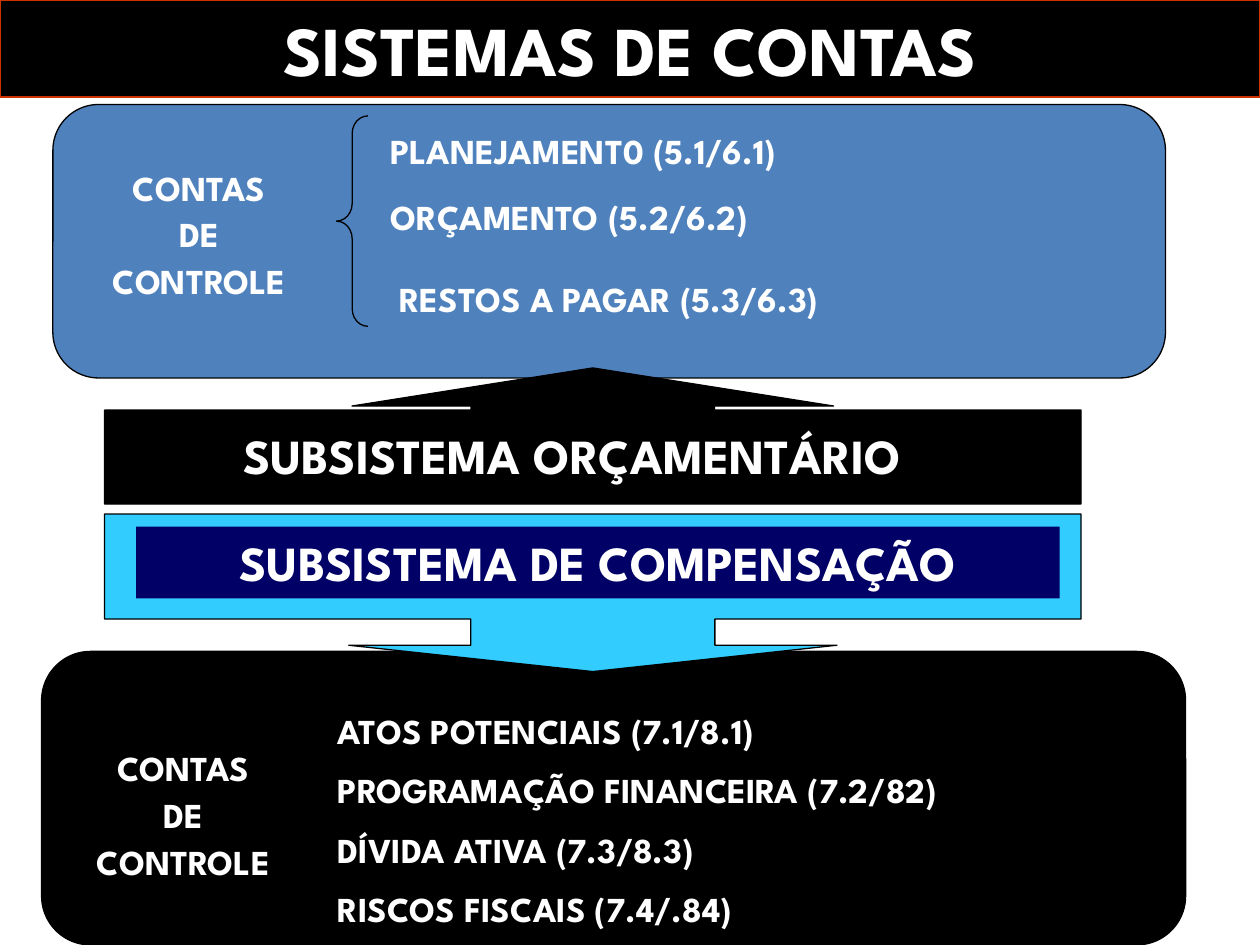
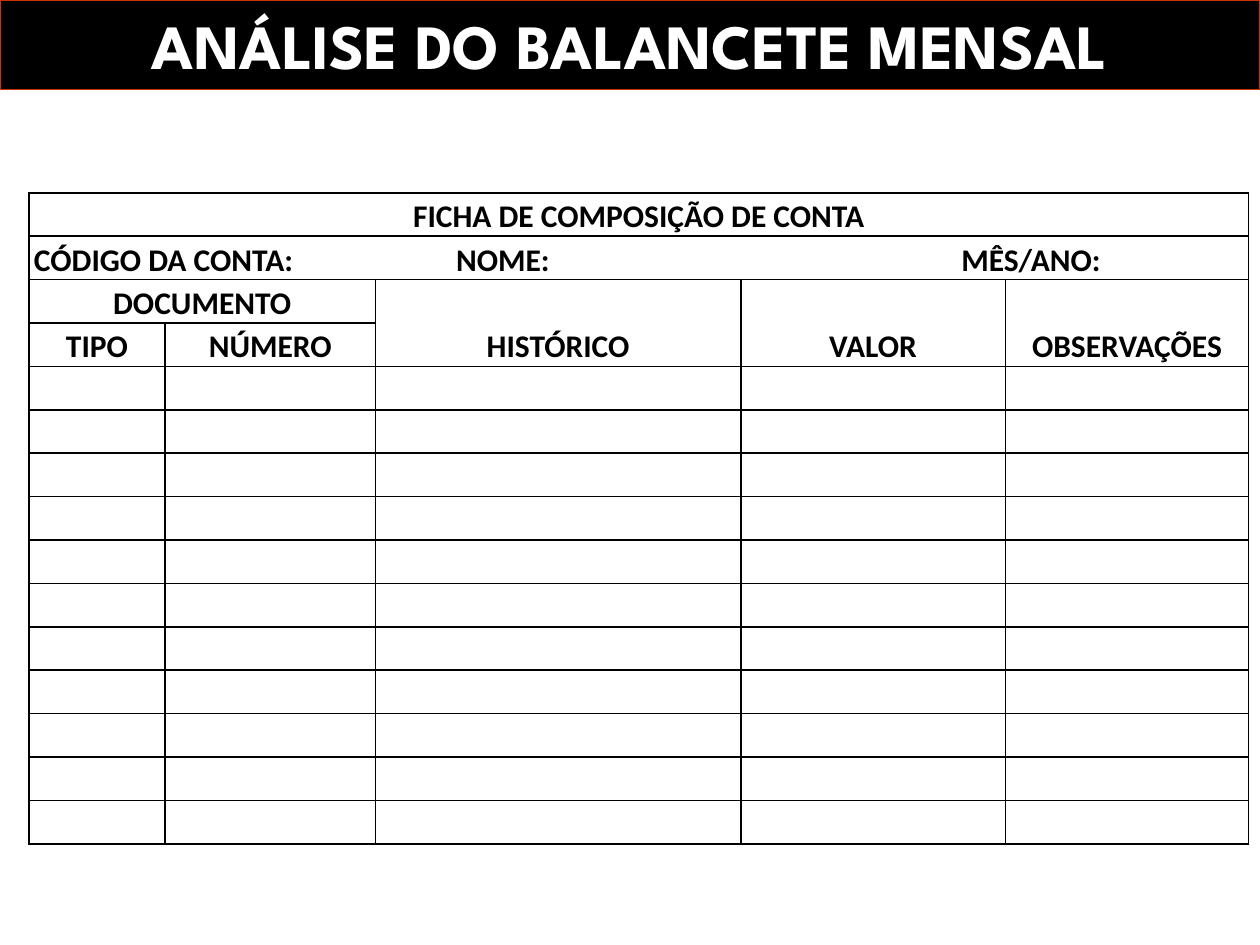
from lxml import etree
from pptx import Presentation
from pptx.dml.color import RGBColor
from pptx.enum.shapes import MSO_SHAPE
from pptx.enum.text import MSO_ANCHOR, MSO_AUTO_SIZE, PP_ALIGN
from pptx.oxml.ns import qn
from pptx.util import Inches, Pt

RECT, ROUNDED = MSO_SHAPE.RECTANGLE, MSO_SHAPE.ROUNDED_RECTANGLE
UP_CALLOUT, DOWN_CALLOUT = MSO_SHAPE.UP_ARROW_CALLOUT, MSO_SHAPE.DOWN_ARROW_CALLOUT
BRACE = MSO_SHAPE.LEFT_BRACE
LEFT, CENTER = PP_ALIGN.LEFT, PP_ALIGN.CENTER
TOP, BOTTOM = MSO_ANCHOR.TOP, MSO_ANCHOR.BOTTOM
NO_AUTOFIT = MSO_AUTO_SIZE.NONE
CONTENT_LAYOUT, TITLE_LAYOUT = 1, 5

DISPLAY, PLAIN = "League Spartan", "Calibri"
BLACK, WHITE, BAND_EDGE = "000000", "FFFFFF", "CC3300"
BLUE, CYAN, NAVY = "4F81BD", "33CCFF", "000066"

# kind, (left, top, width, height), fill, line, adjustments, text
SYSTEM_SHAPES = [
    (ROUNDED, (0.33, 5.17, 9.08, 2.33), BLACK, BLACK, [0.167], ""),
    (ROUNDED, (0.42, 0.83, 8.83, 2.17), BLUE, BLACK, [0.167], ""),
    (UP_CALLOUT, (0.83, 2.92, 7.75, 1.08), BLACK, BLACK, [1.79, 1.77, 0.28, 0.69], ""),
    (RECT, (1.25, 3.33, 6.58, 0.57), BLACK, None, [], "SUBSISTEMA ORÇAMENTÁRIO"),
    (DOWN_CALLOUT, (0.83, 4.08, 7.75, 1.25), CYAN, BLACK, [1.55, 1.55, 0.167, 0.667], ""),
    (RECT, (1.08, 4.18, 7.33, 0.57), NAVY, None, [], "SUBSISTEMA DE COMPENSAÇÃO"),
    (BRACE, (2.67, 0.92, 0.25, 1.67), None, BLACK, [0.556, 0.5], ""),
]
CONTROL_LABEL = ["CONTAS", "DE", "CONTROLE"]
CONTROL_LABEL_PLACES = [(0.58, 1.36, 2, 1.07), (0.54, 5.97, 1.83, 1.07)]
BUDGET_ACCOUNTS = [
    ("PLANEJAMENT0 (5.1/6.1)", (3, 0.98, 6.02, 0.44)),
    ("ORÇAMENTO (5.2/6.2)", (3, 1.5, 3.73, 0.44)),
    ("RESTOS A PAGAR (5.3/6.3)", (3.07, 2.15, 5.15, 0.44)),
]
COMPENSATION_ACCOUNTS = [
    "ATOS POTENCIAIS (7.1/8.1)",
    "PROGRAMAÇÃO FINANCEIRA (7.2/82)",
    "DÍVIDA ATIVA (7.3/8.3)",
    "RISCOS FISCAIS (7.4/.84)",
]

FORM_PLACE = (0.23, 1.53, 9.69, 5.17)
FORM_COLUMNS = [1.08, 1.67, 2.9, 2.1, 1.93]
FORM_ROWS = 15
# row, column, rows spanned, columns spanned, text
FORM_HEADINGS = [
    (0, 0, 1, 5, "FICHA DE COMPOSIÇÃO DE CONTA"),
    (1, 0, 1, 5, "CÓDIGO DA CONTA:\tNOME:\tMÊS/ANO:"),
    (2, 0, 1, 2, "DOCUMENTO"),
    (2, 2, 2, 1, "HISTÓRICO"),
    (2, 3, 2, 1, "VALOR"),
    (2, 4, 2, 1, "OBSERVAÇÕES"),
    (3, 0, 1, 1, "TIPO"),
    (3, 1, 1, 1, "NÚMERO"),
]
ACCOUNT_TABS = [3.35, 7.36]


def color(code):
    return RGBColor.from_string(code)


def inches(place):
    return [Inches(length) for length in place]


def paint(shape, fill, line):
    if fill:
        shape.fill.solid()
        shape.fill.fore_color.rgb = color(fill)
    else:
        shape.fill.background()
    if line:
        shape.line.color.rgb = color(line)
        shape.line.width = Pt(0.75)
    else:
        shape.line.fill.background()


def write(frame, lines, size, align=LEFT, ink=WHITE, font=DISPLAY, gap=10, spacing=1.0):
    """Fill a text frame with bold paragraphs, gap points apart."""
    frame.word_wrap = True
    for index, text in enumerate(lines):
        para = frame.add_paragraph() if index else frame.paragraphs[0]
        para.alignment = align
        para.line_spacing = spacing
        para.space_before = Pt(gap if index else 0)
        span = para.add_run()
        span.text = text
        span.font.name, span.font.size, span.font.bold = font, Pt(size), True
        span.font.color.rgb = color(ink)


def place_placeholder(box, place):
    box.left, box.top, box.width, box.height = inches(place)
    box.text_frame.auto_size = NO_AUTOFIT
    box.text_frame.vertical_anchor = TOP


def add_titled_page(deck, layout, title, height, size):
    page = deck.slides.add_slide(deck.slide_layouts[layout])
    band = page.shapes.title
    place_placeholder(band, (0, 0, 10, height))
    paint(band, BLACK, BAND_EDGE)
    write(band.text_frame, [title], size, CENTER)
    return page


def add_text(page, place, lines, **style):
    box = page.shapes.add_textbox(*inches(place))
    write(box.text_frame, lines, 20, **style)


def add_system_shape(page, kind, place, fill, line, adjustments, text):
    shape = page.shapes.add_shape(kind, *inches(place))
    shape.shadow.inherit = False
    paint(shape, fill, line)
    for index, value in enumerate(adjustments):
        shape.adjustments[index] = value
    if text:
        shape.text_frame.vertical_anchor = TOP
        write(shape.text_frame, [text], 28, CENTER)


def remove_bullet(para):
    properties = para._p.get_or_add_pPr()
    properties.set("marL", "0")
    properties.set("indent", "0")
    etree.SubElement(properties, qn("a:buNone"))


def add_tabs(para, stops):
    tabs = etree.SubElement(para._p.get_or_add_pPr(), qn("a:tabLst"))
    for stop in stops:
        etree.SubElement(tabs, qn("a:tab"), pos=str(Inches(stop)), algn="l")


def add_borders(cell):
    properties = cell._tc.get_or_add_tcPr()
    for index, side in enumerate(["a:lnL", "a:lnR", "a:lnT", "a:lnB"]):
        line = etree.Element(qn(side), w=str(Pt(1)))
        fill = etree.SubElement(line, qn("a:solidFill"))
        etree.SubElement(fill, qn("a:srgbClr"), val=BLACK)
        properties.insert(index, line)


def build_account_systems(deck):
    page = add_titled_page(deck, CONTENT_LAYOUT, "SISTEMAS DE CONTAS", 0.77, 40)
    for shape in SYSTEM_SHAPES:
        add_system_shape(page, *shape)
    for place in CONTROL_LABEL_PLACES:
        add_text(page, place, CONTROL_LABEL, align=CENTER, spacing=0.7)
    for text, place in BUDGET_ACCOUNTS:
        add_text(page, place, [text])

    accounts = page.placeholders[1]
    place_placeholder(accounts, (2.58, 5.58, 6.2, 1.92))
    write(accounts.text_frame, COMPENSATION_ACCOUNTS, 20)
    for para in accounts.text_frame.paragraphs:
        remove_bullet(para)
    # Bring the list in front of its panel
    accounts._element.getparent().append(accounts._element)


def build_balance_form(deck):
    page = add_titled_page(deck, TITLE_LAYOUT, "ANÁLISE DO BALANCETE MENSAL", 0.71, 36)
    form = page.shapes.add_table(FORM_ROWS, len(FORM_COLUMNS), *inches(FORM_PLACE)).table
    form.first_row = form.horz_banding = False
    for column, width in zip(form.columns, FORM_COLUMNS):
        column.width = Inches(width)
    for row in form.rows:
        row.height = Inches(FORM_PLACE[3] / FORM_ROWS)
    for cell in form.iter_cells():
        cell.margin_left = cell.margin_right = Inches(0.04)
        cell.margin_top = cell.margin_bottom = 0
        cell.vertical_anchor = BOTTOM
        cell.fill.background()
        add_borders(cell)
    for row, column, height, width, text in FORM_HEADINGS:
        cell = form.cell(row, column)
        if height * width > 1:
            cell.merge(form.cell(row + height - 1, column + width - 1))
        tabbed = "\t" in text
        write(cell.text_frame, [text], 18, LEFT if tabbed else CENTER, BLACK, PLAIN)
        if tabbed:
            add_tabs(cell.text_frame.paragraphs[0], ACCOUNT_TABS)


def main():
    deck = Presentation()
    deck.slide_width, deck.slide_height = Inches(10), Inches(7.5)
    build_account_systems(deck)
    build_balance_form(deck)
    deck.save("out.pptx")


if __name__ == "__main__":
    main()
